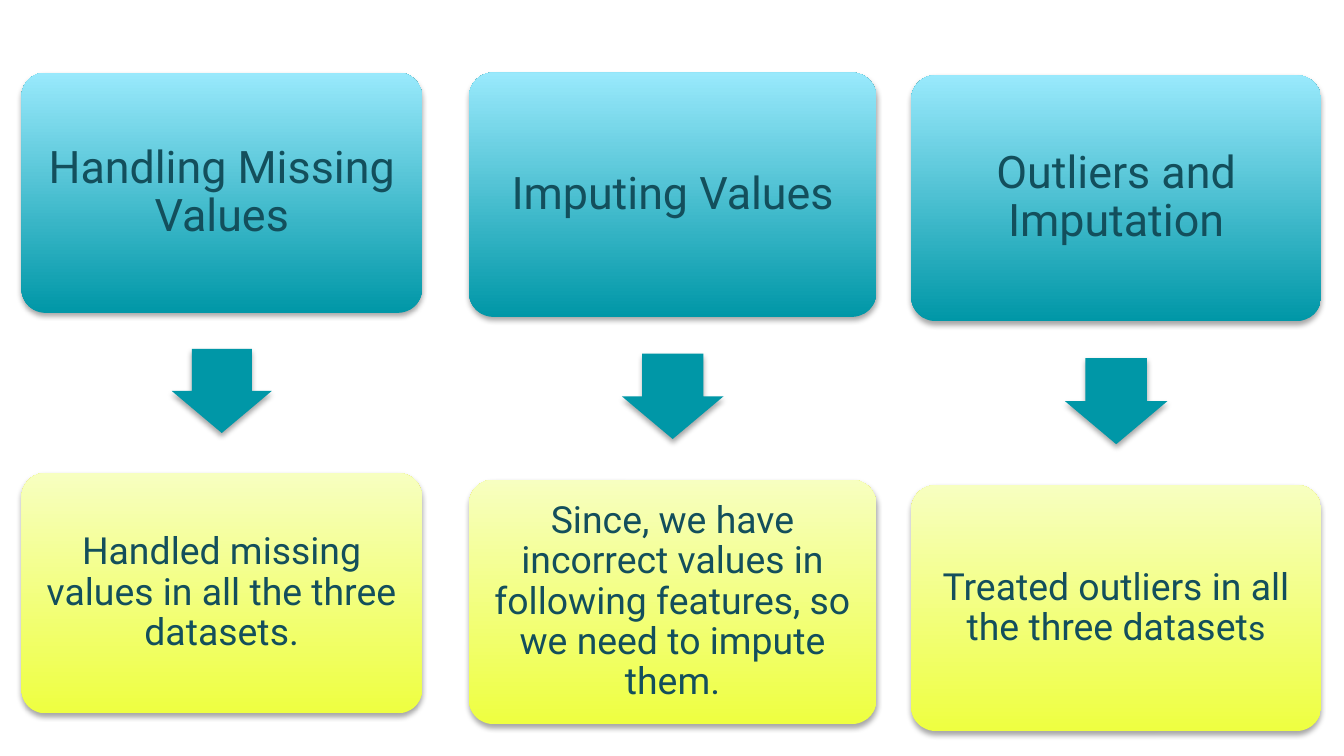
from lxml import etree
from pptx import Presentation
from pptx.dml.color import RGBColor
from pptx.enum.shapes import MSO_SHAPE as SHAPE
from pptx.enum.text import MSO_ANCHOR, PP_ALIGN
from pptx.oxml.ns import qn
from pptx.util import Inches, Pt

# Content: left, top and width of each column, heading, runs of the result
COLUMNS = [
    (0.16, 0.54, 2.98, "Handling Missing Values",
     [("Handled missing values in all the three datasets.", 20)]),
    (3.49, 0.54, 3.03, "Imputing Values",
     [("Since, we have incorrect values in following features, "
       "so we need to impute them.", 20)]),
    (6.78, 0.56, 3.05, "Outliers and Imputation",
     [("Treated outliers in all the three dataset", 20), ("s", 18)]),
]
COLORS = {"teal": "0097A7", "aqua": "99E9FC", "yellow": "EEFF41",
          "cream": "F7FFC0", "text": "134F5C", "shadow": "000000"}
FONT = "Roboto"

# Proportions, as shares of the column width
BOX_HEIGHT = 0.6
ARROW_LENGTH, ARROW_WIDTH = 0.21, 0.25
ARROW_CENTER = 0.795
RESULT_TOP = 1


def rgb(name):
    return RGBColor.from_string(COLORS[name])


def add_shadow(sp):
    sp.shadow.inherit = False
    effects = sp._element.spPr.find(qn("a:effectLst"))
    shadow = etree.SubElement(effects, qn("a:outerShdw"), blurRad=str(Pt(3.1)),
                              dist=str(Pt(1.8)), dir="5400000", rotWithShape="0")
    color = etree.SubElement(shadow, qn("a:srgbClr"), val=COLORS["shadow"])
    etree.SubElement(color, qn("a:alpha"), val="35000")


def add_shape(s, kind, x, y, w, h, adjustments):
    sp = s.shapes.add_shape(kind, Inches(x), Inches(y), Inches(w), Inches(h))
    for i, value in enumerate(adjustments):
        sp.adjustments[i] = value
    sp.line.fill.background()
    add_shadow(sp)
    return sp


def add_box(s, x, y, w, h, gradient, runs, inset):
    sp = add_shape(s, SHAPE.ROUNDED_RECTANGLE, x, y, w, h, [0.1])
    sp.fill.gradient()
    sp.fill.gradient_angle = 90
    for stop, name in zip(sp.fill.gradient_stops, gradient):
        stop.color.rgb = rgb(name)
    tf = sp.text_frame
    tf.word_wrap = True
    tf.vertical_anchor = MSO_ANCHOR.MIDDLE
    tf.margin_left = tf.margin_right = Inches(inset)
    tf.margin_top = tf.margin_bottom = Inches(inset)
    p = tf.paragraphs[0]
    p.alignment = PP_ALIGN.CENTER
    p.line_spacing = 0.9
    p.font.name = FONT
    p.font.color.rgb = rgb("text")
    for text, size in runs:
        r = p.add_run()
        r.text = text
        r.font.size = Pt(size)


def add_down_arrow(s, cx, cy, length, width):
    sp = add_shape(s, SHAPE.RIGHT_ARROW, cx - length / 2, cy - width / 2,
                   length, width, [0.6, 0.5])
    sp.rotation = 90
    sp.fill.solid()
    sp.fill.fore_color.rgb = rgb("teal")


# Widescreen slide, 16:9
prs = Presentation()
prs.slide_width = Inches(10)
prs.slide_height = prs.slide_width * 9 // 16
s = prs.slides.add_slide(prs.slide_layouts[6])

# One column per step: heading, arrow, result
for x, top, w, heading, result in COLUMNS:
    h = w * BOX_HEIGHT
    add_box(s, x, top, w, h, ("teal", "aqua"), [(heading, 24)], 0.05)
    add_down_arrow(s, x + w / 2, top + w * ARROW_CENTER,
                   w * ARROW_LENGTH, w * ARROW_WIDTH)
    add_box(s, x, top + w * RESULT_TOP, w, h, ("yellow", "cream"), result, 0.03)

prs.save("out.pptx")
